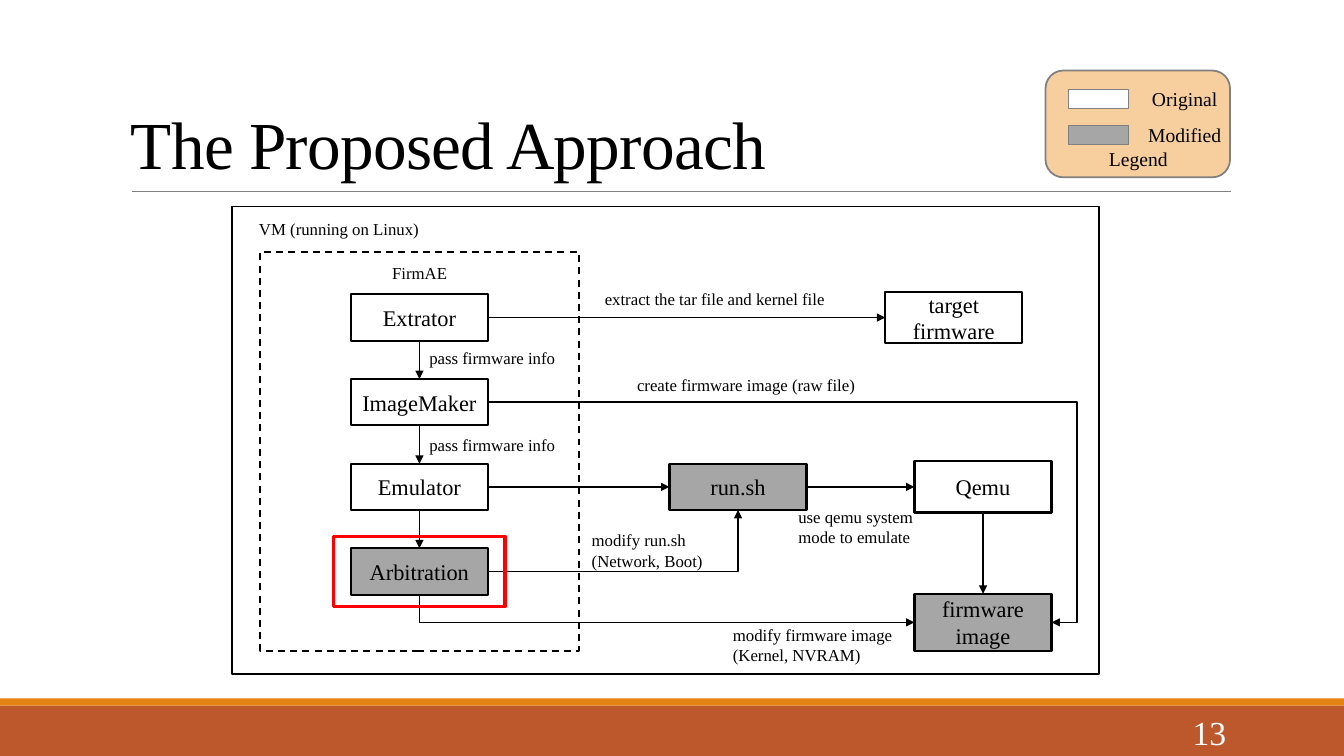
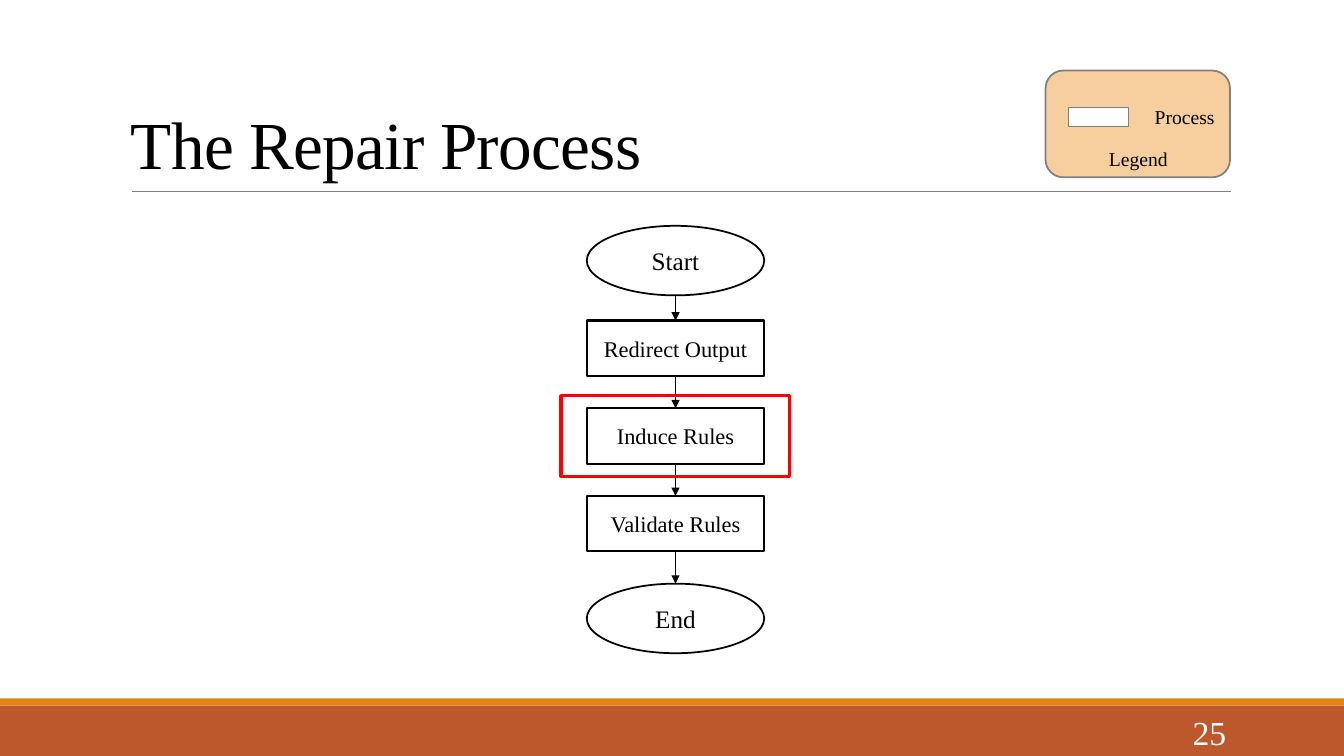
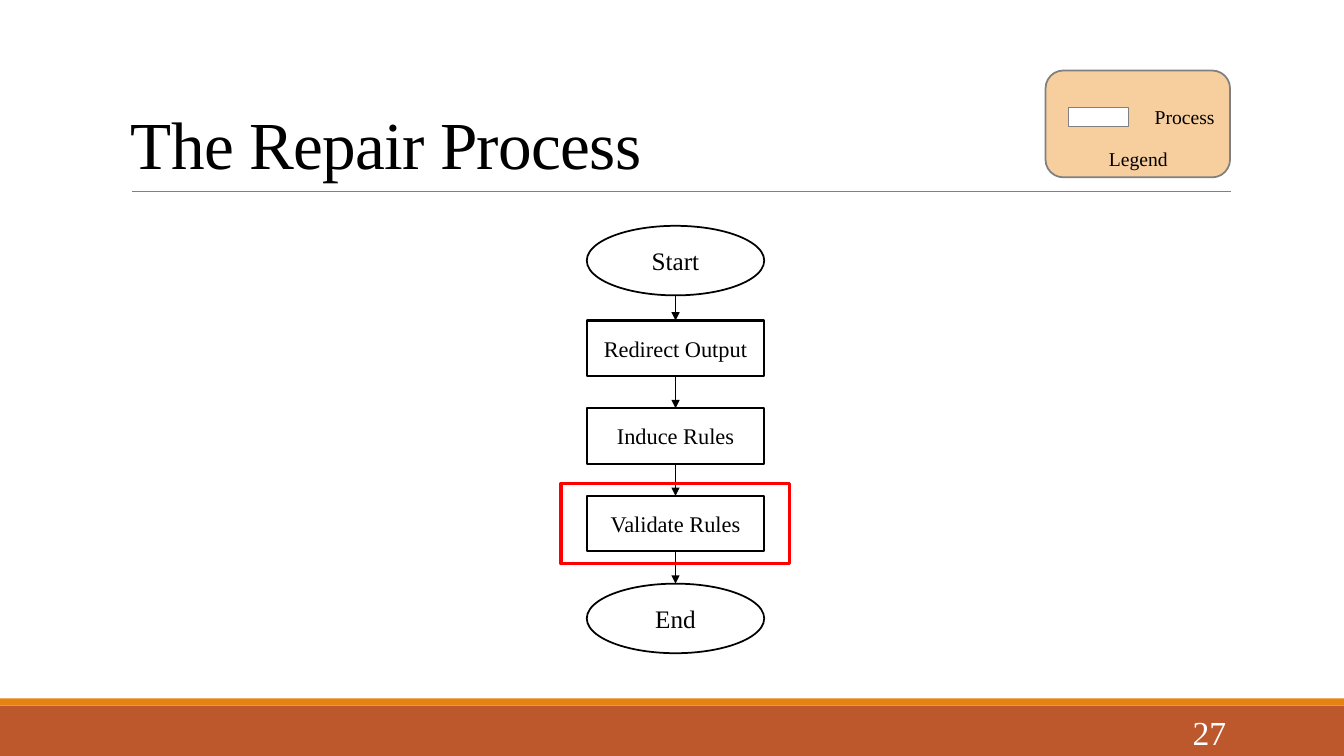
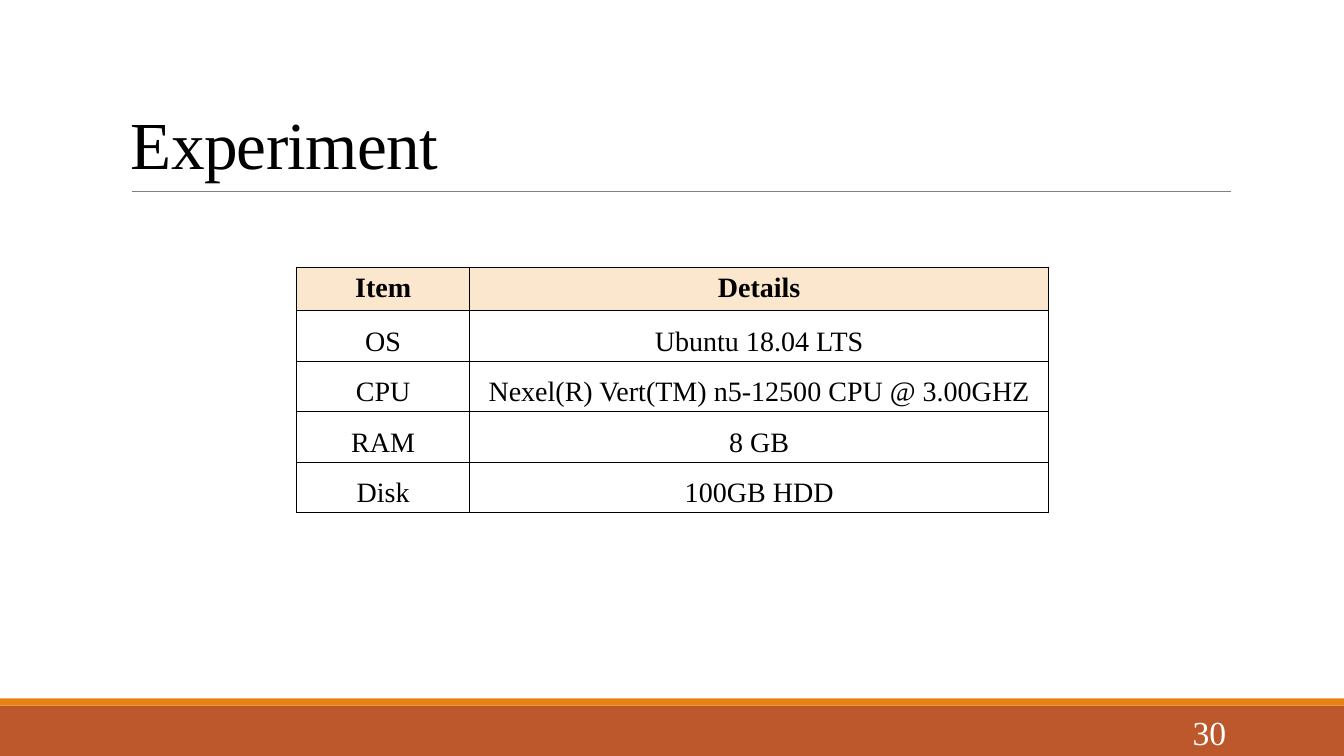
"""Build four slides on firmware emulation: approach, repair process and experiment."""
from dataclasses import dataclass
from typing import NamedTuple, Optional, Sequence

from lxml.etree import SubElement
from pptx import Presentation
from pptx.dml.color import RGBColor as Rgb
from pptx.enum.dml import MSO_LINE_DASH_STYLE as Dash
from pptx.enum.shapes import MSO_CONNECTOR as Link, MSO_SHAPE as Preset
from pptx.enum.text import MSO_ANCHOR as Anchor, PP_ALIGN as Align
from pptx.oxml.ns import qn
from pptx.shapes.autoshape import Shape
from pptx.slide import Slide
from pptx.util import Inches, Pt

COLUMNS, ROWS = 133.3, 75
TOP, LEFT, BOTTOM, RIGHT = range(4)


@dataclass(frozen=True)
class Theme:
    font: str = "Times New Roman"
    ink: Rgb = Rgb(0, 0, 0)
    paper: Rgb = Rgb(255, 255, 255)
    band: Rgb = Rgb(0xBD, 0x58, 0x2C)
    stripe: Rgb = Rgb(0xE4, 0x83, 0x12)
    gray: Rgb = Rgb(0x80, 0x80, 0x80)
    modified: Rgb = Rgb(0xA6, 0xA6, 0xA6)
    legend: Rgb = Rgb(0xF7, 0xCE, 0x9D)
    header: Rgb = Rgb(0xFB, 0xE6, 0xCE)
    highlight: Rgb = Rgb(255, 0, 0)
    title_size: float = 48
    number_size: float = 24
    table_size: float = 20
    terminal_size: float = 18
    box_size: float = 16
    legend_size: float = 14
    label_size: float = 12


THEME = Theme()


class Frame(NamedTuple):
    left: float
    top: float
    width: float
    height: float

    def grown(self, across: float, down: float) -> "Frame":
        return Frame(self.left - across, self.top - down,
                     self.width + 2 * across, self.height + 2 * down)


class Node(NamedTuple):
    text: str
    frame: Frame
    fill: Optional[Rgb] = None
    preset: Preset = Preset.RECTANGLE
    size: float = THEME.box_size
    line_width: float = 1.5


class Label(NamedTuple):
    lines: Sequence[str]
    left: float
    top: float
    width: float


class Arrow(NamedTuple):
    start: str
    start_side: int
    end: str
    end_side: int
    geometry: str = "line"
    bend: Optional[int] = None
    arrowhead: str = "tailEnd"


class LegendEntry(NamedTuple):
    text: str
    fill: Rgb


def cells(count: float) -> int:
    return Inches(round(count / 10, 4))


def place(frame: Frame) -> list[int]:
    return [cells(length) for length in frame]


def write(paragraph, text: str, size: float, color: Rgb = THEME.ink,
          align: Align = Align.LEFT, bold: bool = False):
    paragraph.alignment = align
    run = paragraph.add_run()
    run.text = text
    font = run.font
    font.name, font.size, font.bold = THEME.font, Pt(size), bold
    font.color.rgb = color
    return run


def add_box(slide: Slide, frame: Frame, fill: Optional[Rgb] = None,
            line: Optional[Rgb] = None, line_width: float = 1.25,
            preset: Preset = Preset.RECTANGLE) -> Shape:
    shape = slide.shapes.add_shape(preset, *place(frame))
    shape.shadow.inherit = False
    if fill is None:
        shape.fill.background()
    else:
        shape.fill.solid()
        shape.fill.fore_color.rgb = fill
    if line is None:
        shape.line.fill.background()
    else:
        shape.line.color.rgb = line
        shape.line.width = Pt(line_width)
    return shape


def add_text(slide: Slide, frame: Frame, lines: Sequence[str], size: float,
             color: Rgb = THEME.ink, align: Align = Align.LEFT,
             anchor: Anchor = Anchor.TOP) -> Shape:
    shape = slide.shapes.add_textbox(*place(frame))
    text_frame = shape.text_frame
    text_frame.word_wrap = True
    text_frame.vertical_anchor = anchor
    for index, line in enumerate(lines):
        paragraph = text_frame.add_paragraph() if index else text_frame.paragraphs[0]
        write(paragraph, line, size, color, align)
    return shape


def style_connector(connector, color: Rgb, width: float) -> None:
    connector.line.color.rgb = color
    connector.line.width = Pt(width)
    SubElement(connector._element.spPr, qn("a:effectLst"))


def add_nodes(slide: Slide, nodes: Sequence[Node]) -> dict[str, Shape]:
    shapes = {}
    for node in nodes:
        shape = add_box(slide, node.frame, node.fill, THEME.ink, node.line_width, node.preset)
        shape.text_frame.vertical_anchor = Anchor.MIDDLE
        write(shape.text_frame.paragraphs[0], node.text, node.size, align=Align.CENTER)
        shapes[node.text] = shape
    return shapes


def add_arrow(slide: Slide, shapes: dict[str, Shape], arrow: Arrow) -> None:
    kind = Link.STRAIGHT if arrow.geometry == "line" else Link.ELBOW
    connector = slide.shapes.add_connector(kind, 0, 0, 0, 0)
    connector.begin_connect(shapes[arrow.start], arrow.start_side)
    connector.end_connect(shapes[arrow.end], arrow.end_side)
    style_connector(connector, THEME.ink, 1)
    SubElement(connector.line._get_or_add_ln(), qn(f"a:{arrow.arrowhead}"), type="triangle")
    geometry = connector._element.spPr.find(qn("a:prstGeom"))
    geometry.set("prst", arrow.geometry)
    if arrow.bend is not None:
        guides = geometry.find(qn("a:avLst"))
        if guides is None:
            guides = SubElement(geometry, qn("a:avLst"))
        SubElement(guides, qn("a:gd"), name="adj1", fmla=f"val {arrow.bend}")


def add_legend(slide: Slide, entries: Sequence[LegendEntry]) -> None:
    pitch, middle = 3.6, 11.6
    add_box(slide, Frame(103.7, 7, 18.3, 10.6), THEME.legend, THEME.gray,
            preset=Preset.ROUNDED_RECTANGLE)
    for index, entry in enumerate(entries):
        center = middle + (index - (len(entries) - 1) / 2) * pitch
        add_box(slide, Frame(106, center - 0.95, 5.9, 1.9), entry.fill, THEME.gray, 1)
        add_text(slide, Frame(112.8, center - 1.65, 9.4, 3.4), [entry.text],
                 THEME.legend_size, align=Align.CENTER)
    add_text(slide, Frame(109, 14.1, 8, 2.2), ["Legend"], THEME.legend_size)


def add_base(presentation, title: str, number: int) -> Slide:
    slide = presentation.slides.add_slide(presentation.slide_layouts[6])
    add_box(slide, Frame(0, 70, COLUMNS, 5), THEME.band)
    add_box(slide, Frame(0, 69.3, COLUMNS, 0.7), THEME.stripe)
    rule = slide.shapes.add_connector(Link.STRAIGHT, cells(13.1), cells(19),
                                      cells(122.1), cells(19))
    style_connector(rule, THEME.gray, 0.5)
    heading = add_text(slide, Frame(12, 3.1, 110, 15.6), [title], THEME.title_size,
                       anchor=Anchor.BOTTOM)
    paragraph = heading.text_frame.paragraphs[0]
    paragraph.line_spacing = 0.85
    paragraph.runs[0]._r.get_or_add_rPr().set("spc", "-50")
    add_text(slide, Frame(108.3, 70.6, 14.3, 4), [str(number)], THEME.number_size,
             THEME.paper, Align.RIGHT, Anchor.MIDDLE)
    return slide


def add_approach(presentation) -> None:
    slide = add_base(presentation, "The Proposed Approach", 13)
    add_legend(slide, [LegendEntry("Original", THEME.paper),
                       LegendEntry("Modified", THEME.modified)])
    add_box(slide, Frame(23, 20.5, 86, 46.4), line=THEME.ink)
    emulator_frame = add_box(slide, Frame(25.8, 25, 31.6, 39.6), line=THEME.ink)
    emulator_frame.line.dash_style = Dash.DASH

    width, height, tall = 13.6, 4.6, 5.1
    stages = ["Extrator", "ImageMaker", "Emulator", "Arbitration"]
    stage_frames = [Frame(34.8, 29.2 + 8.4 * row, width, height) for row in range(len(stages))]
    nodes = [Node(name, frame, THEME.modified if name == "Arbitration" else None)
             for name, frame in zip(stages, stage_frames)]
    nodes += [
        Node("run.sh", Frame(66.4, 46, width, height), THEME.modified),
        Node("target firmware", Frame(87.8, 28.95, width, tall)),
        Node("Qemu", Frame(90.7, 45.75, width, tall)),
        Node("firmware image", Frame(90.7, 58.9, width, 5.7), THEME.modified),
    ]
    shapes = add_nodes(slide, nodes)

    arrows = [Arrow(upper, BOTTOM, lower, TOP) for upper, lower in zip(stages, stages[1:])]
    arrows += [
        Arrow("Extrator", RIGHT, "target firmware", LEFT),
        Arrow("Emulator", RIGHT, "run.sh", LEFT),
        Arrow("run.sh", RIGHT, "Qemu", LEFT),
        Arrow("Qemu", BOTTOM, "firmware image", TOP),
        Arrow("Arbitration", RIGHT, "run.sh", BOTTOM, "bentConnector2"),
        Arrow("firmware image", LEFT, "Arbitration", BOTTOM, "bentConnector2",
              arrowhead="headEnd"),
        Arrow("ImageMaker", RIGHT, "firmware image", RIGHT, "bentConnector3", 104500),
    ]
    for arrow in arrows:
        add_arrow(slide, shapes, arrow)

    labels = [
        Label(["VM (running on Linux)"], 24.7, 21.2, 18.5),
        Label(["FirmAE"], 37.9, 25.6, 8),
        Label(["pass firmware info"], 41.6, 34, 15),
        Label(["pass firmware info"], 41.6, 42.6, 15),
        Label(["extract the tar file and kernel file"], 59, 28.2, 25),
        Label(["create firmware image (raw file)"], 62.2, 36.7, 25),
        Label(["use qemu system", "mode to emulate"], 78.2, 49.8, 15),
        Label(["modify run.sh", "(Network, Boot)"], 57.7, 52.1, 13.5),
        Label(["modify firmware image", "(Kernel, NVRAM)"], 71.7, 61.5, 18.5),
    ]
    for label in labels:
        frame = Frame(label.left, label.top, label.width, 1 + 2 * len(label.lines))
        add_text(slide, frame, label.lines, THEME.label_size)
    add_box(slide, stage_frames[-1].grown(1.7, 1.2), line=THEME.highlight, line_width=2.25)


def add_repair_process(presentation, number: int, current: str) -> None:
    slide = add_base(presentation, "The Repair Process", number)
    add_legend(slide, [LegendEntry("Process", THEME.paper)])
    left, width, pitch = 58.2, 17.6, 8.7
    first, last = [
        Node(text, Frame(left, top, width, 6.9), None, Preset.OVAL, THEME.terminal_size, 1.25)
        for text, top in (("Start", 22.4), ("End", 57.9))
    ]
    steps = [Node(text, Frame(left, 31.8 + pitch * row, width, 5.5))
             for row, text in enumerate(["Redirect Output", "Induce Rules", "Validate Rules"])]
    nodes = [first, *steps, last]
    shapes = add_nodes(slide, nodes)
    for upper, lower in zip(nodes, nodes[1:]):
        add_arrow(slide, shapes, Arrow(upper.text, BOTTOM, lower.text, TOP))
    for step in steps:
        if step.text == current:
            add_box(slide, step.frame.grown(2.55, 1.25), line=THEME.highlight, line_width=2.25)


def add_border(cell) -> None:
    properties = cell._tc.get_or_add_tcPr()
    for index, side in enumerate(("lnL", "lnR", "lnT", "lnB")):
        line = properties.makeelement(qn(f"a:{side}"), {"w": str(Pt(1))})
        fill = SubElement(line, qn("a:solidFill"))
        SubElement(fill, qn("a:srgbClr"), val=str(THEME.ink))
        properties.insert(index, line)


def add_experiment(presentation) -> None:
    slide = add_base(presentation, "Experiment", 30)
    rows = [
        ("Item", "Details"),
        ("OS", "Ubuntu 18.04 LTS"),
        ("CPU", "Nexel(R) Vert(TM) n5-12500 CPU @ 3.00GHZ"),
        ("RAM", "8 GB"),
        ("Disk", "100GB HDD"),
    ]
    widths, row_height = (17.2, 57.4), 4.1
    frame = Frame(29.4, 26.5, sum(widths), row_height * len(rows))
    table = slide.shapes.add_table(len(rows), len(widths), *place(frame)).table
    table.first_row = table.horz_banding = False
    for column, width in zip(table.columns, widths):
        column.width = cells(width)
    for row_index, row in enumerate(rows):
        is_header = row_index == 0
        for column_index, text in enumerate(row):
            cell = table.cell(row_index, column_index)
            paragraph = cell.text_frame.paragraphs[0]
            write(paragraph, text, THEME.table_size, align=Align.CENTER, bold=is_header)
            if is_header:
                cell.fill.solid()
                cell.fill.fore_color.rgb = THEME.header
            else:
                cell.fill.background()
                cell.margin_left = cell.margin_right = cells(0.7)
                cell.margin_top = cell.margin_bottom = 0
                paragraph.line_spacing = 1.5
            add_border(cell)


def main() -> None:
    presentation = Presentation()
    presentation.slide_width, presentation.slide_height = cells(COLUMNS), cells(ROWS)
    add_approach(presentation)
    add_repair_process(presentation, 25, "Induce Rules")
    add_repair_process(presentation, 27, "Validate Rules")
    add_experiment(presentation)
    presentation.save("out.pptx")


if __name__ == "__main__":
    main()
